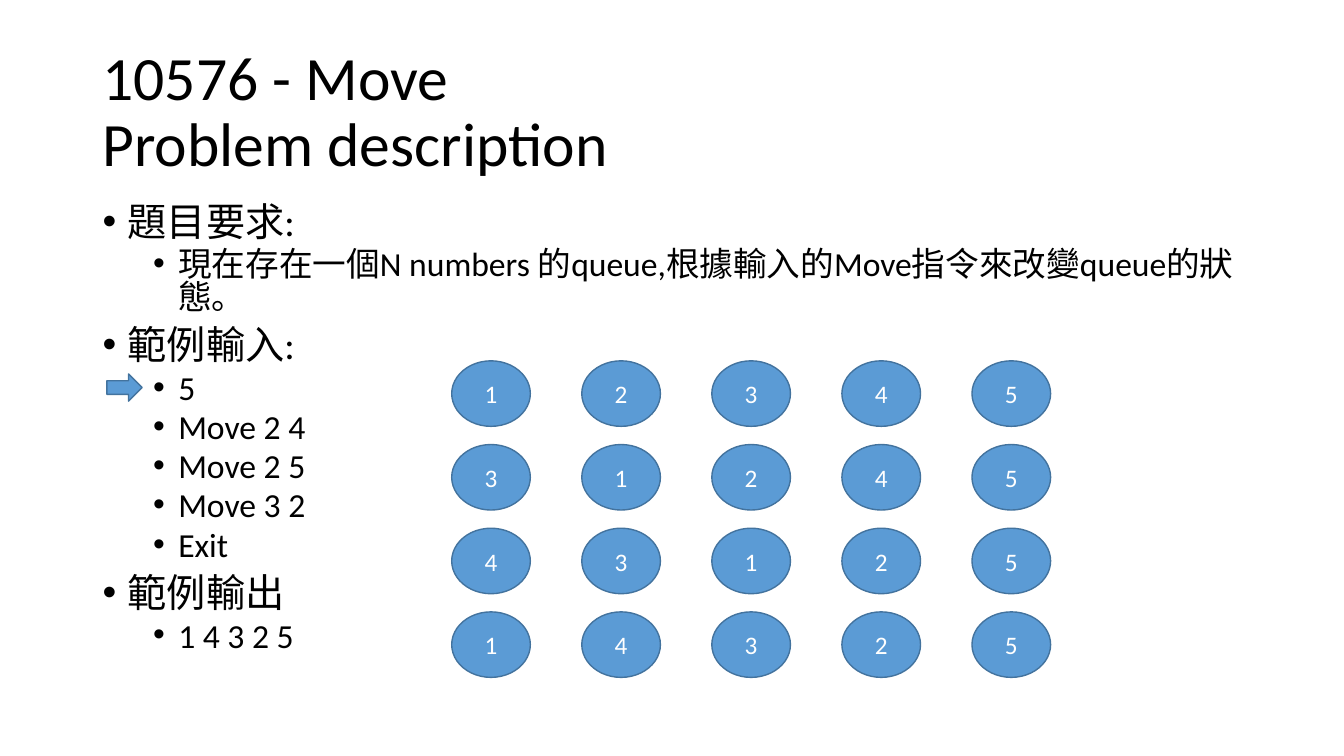
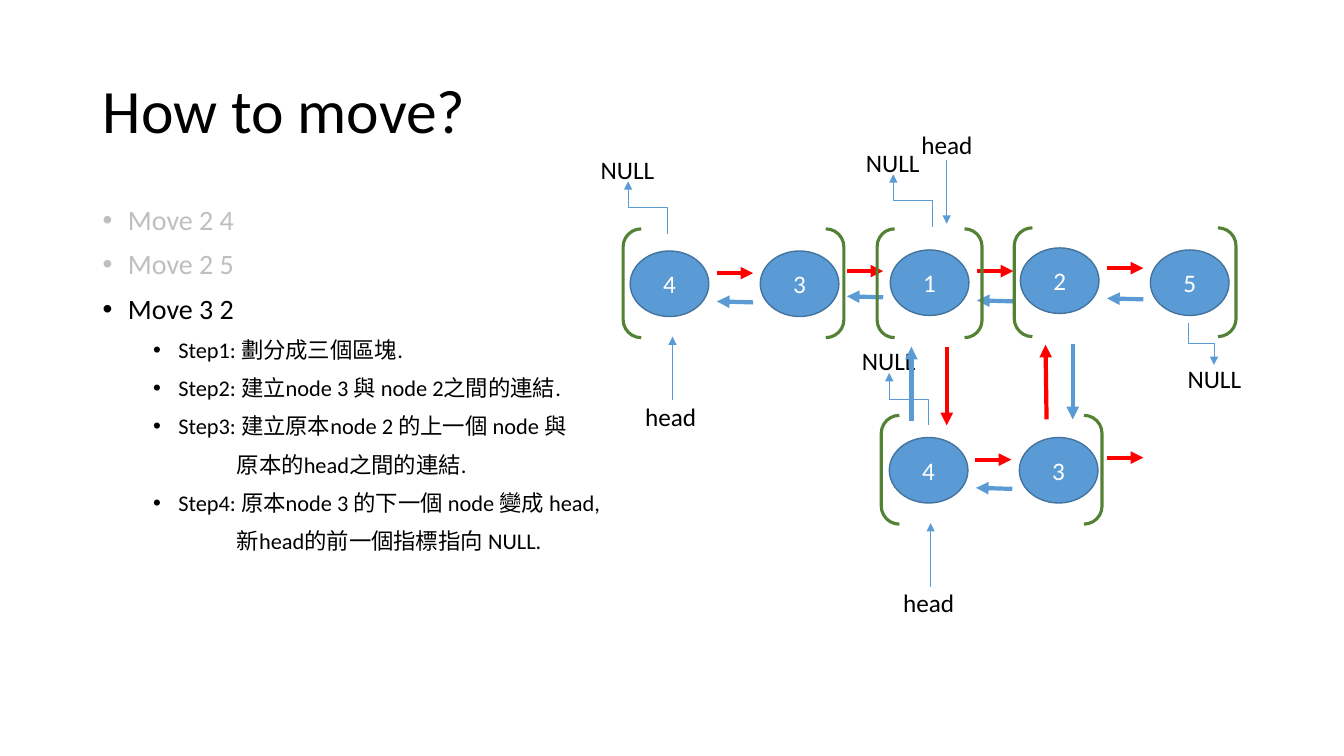
from lxml import etree
from pptx import Presentation
from pptx.dml.color import RGBColor
from pptx.enum.shapes import MSO_CONNECTOR, MSO_SHAPE
from pptx.enum.text import MSO_ANCHOR, MSO_AUTO_SIZE, PP_ALIGN
from pptx.oxml.ns import qn
from pptx.util import Inches, Pt

BLACK = RGBColor(0x00, 0x00, 0x00)
WHITE = RGBColor(0xFF, 0xFF, 0xFF)
GRAY = RGBColor(0xBF, 0xBF, 0xBF)
BLUE = RGBColor(0x5B, 0x9B, 0xD5)
DARK_BLUE = RGBColor(0x43, 0x73, 0x9E)
RED = RGBColor(0xFF, 0x00, 0x00)
GREEN = RGBColor(0x54, 0x82, 0x35)
FONT = "Calibri"
NODE_WIDTH, NODE_HEIGHT, NODE_PITCH = 0.78, 0.65, 1.29
ARROW_LENGTH = 0.36


class SlideBuilder:
    """Holds the shared style and the slide being drawn."""

    def __init__(self):
        self.deck = Presentation()
        self.deck.slide_width = Inches(13.33)
        self.deck.slide_height = Inches(7.5)
        self.page = None

    def new_page(self, title):
        self.page = self.deck.slides.add_slide(self.deck.slide_layouts[6])
        frame = self.text_box(0.92, 0.4, 11.5, 1.45)
        frame.vertical_anchor = MSO_ANCHOR.MIDDLE
        frame.text = title
        frame.paragraphs[0].line_spacing = 0.9
        self.format_runs(frame.paragraphs[0], 44)

    def text_box(self, left, top, width, height):
        box = self.page.shapes.add_textbox(
            Inches(left), Inches(top), Inches(width), Inches(height))
        box.text_frame.word_wrap = True
        return box.text_frame

    def format_runs(self, para, size, color=BLACK):
        for span in para.runs:
            span.font.name = FONT
            span.font.size = Pt(size)
            span.font.color.rgb = color

    def body(self, items, sizes, spacing, gaps):
        """Items are (level, text, color); level 2 continues a level 1 line."""
        frame = self.text_box(0.92, 2, 11.5, 4.76)
        for index, (level, text, color) in enumerate(items):
            para = frame.add_paragraph() if index else frame.paragraphs[0]
            para.text = text
            para.level = min(level, 1)
            para.line_spacing = spacing
            para.space_before = Pt(gaps[para.level])
            self.format_runs(para, sizes[para.level], color)
            self.indent(para, (0.25, 0.75, 1.33)[level], bulleted=level < 2)

    def indent(self, para, margin, bulleted):
        props = para._p.get_or_add_pPr()
        props.set("marL", str(Inches(margin)))
        props.set("indent", str(Inches(-0.25 if bulleted else 0)))
        if bulleted:
            etree.SubElement(props, qn("a:buFont")).set("typeface", "Arial")
            etree.SubElement(props, qn("a:buChar")).set("char", "•")

    def shape(self, kind, left, top, width, height, line, weight, fill=None):
        shape = self.page.shapes.add_shape(
            kind, Inches(left), Inches(top), Inches(width), Inches(height))
        shape.shadow.inherit = False
        if fill is None:
            shape.fill.background()
        else:
            shape.fill.solid()
            shape.fill.fore_color.rgb = fill
        shape.line.color.rgb = line
        shape.line.width = Pt(weight)
        return shape

    def node(self, left, top, value):
        oval = self.shape(MSO_SHAPE.OVAL, left, top, NODE_WIDTH, NODE_HEIGHT,
                          DARK_BLUE, 1, BLUE)
        frame = oval.text_frame
        frame.vertical_anchor = MSO_ANCHOR.MIDDLE
        frame.text = str(value)
        frame.paragraphs[0].alignment = PP_ALIGN.CENTER
        self.format_runs(frame.paragraphs[0], 18, WHITE)

    def brackets(self, left, top, width):
        self.shape(MSO_SHAPE.DOUBLE_BRACKET, left, top, width, 1.08, GREEN, 2.25)

    def label(self, left, top, text):
        frame = self.text_box(left, top, 0.74, 0.4)
        frame.word_wrap = False
        frame.auto_size = MSO_AUTO_SIZE.SHAPE_TO_FIT_TEXT
        frame.text = text
        self.format_runs(frame.paragraphs[0], 18)

    def arrow(self, x1, y1, x2, y2, color=BLUE, weight=3.0,
              kind=MSO_CONNECTOR.STRAIGHT):
        link = self.page.shapes.add_connector(
            kind, Inches(x1), Inches(y1), Inches(x2), Inches(y2))
        link.line.color.rgb = color
        link.line.width = Pt(weight)
        tail = etree.SubElement(link.line._get_or_add_ln(), qn("a:tailEnd"))
        tail.set("type", "triangle")
        etree.SubElement(link._element.spPr, qn("a:effectLst"))
        return link

    def elbow(self, x1, y1, x2, y2):
        """A bent arrow that leaves vertically: an elbow turned by 270 degrees."""
        middle_x, middle_y = (x1 + x2) / 2, (y1 + y2) / 2
        half_x, half_y = (x1 - x2) / 2, (y1 - y2) / 2
        link = self.arrow(middle_x - half_y, middle_y + half_x,
                          middle_x + half_y, middle_y - half_x,
                          weight=0.5, kind=MSO_CONNECTOR.ELBOW)
        link._element.spPr.find(qn("a:xfrm")).set("rot", str(270 * 60000))

    def null_above(self, x, y):
        self.elbow(x, y, x - 0.39, y - 0.52)
        self.label(x - 0.76, y - 0.84, "NULL")

    def head_below(self, x, y):
        self.arrow(x, y + 0.63, x, y, weight=0.5)
        self.label(x - 0.37, y + 0.59, "head")


show = SlideBuilder()

# Slide 1: problem statement and the queue after each command
show.new_page("10576 - Move\vProblem description")
statement = [
    (0, "題目要求:"),
    (1, "現在存在一個N numbers 的queue,根據輸入的Move指令來改變queue的狀態。".replace(",", ",")),
    (0, "範例輸入:"),
    (1, "5"),
    (1, "Move 2 4"),
    (1, "Move 2 5"),
    (1, "Move 3 2"),
    (1, "Exit"),
    (0, "範例輸出"),
    (1, "1 4 3 2 5"),
]
show.body([(level, text, BLACK) for level, text in statement],
          sizes=(28, 24), spacing=0.8, gaps=(10, 5))
for row, queue in enumerate(("12345", "31245", "43125", "14325")):
    for column, value in enumerate(queue):
        show.node(4.48 + NODE_PITCH * column, 3.58 + 0.83 * row, value)
show.shape(MSO_SHAPE.RIGHT_ARROW, 1.06, 3.71, 0.35, 0.27, DARK_BLUE, 1, BLUE)

# Slide 2: the steps of one move
show.new_page("How to move?")
show.body([
    (0, "Move 2 4", GRAY),
    (0, "Move 2 5", GRAY),
    (0, "Move 3 2", BLACK),
    (1, "Step1: 劃分成三個區塊.", BLACK),
    (1, "Step2: 建立node 3 與 node 2之間的連結.", BLACK),
    (1, "Step3: 建立原本node 2 的上一個 node 與", BLACK),
    (2, "原本的head之間的連結.", BLACK),
    (1, "Step4: 原本node 3 的下一個 node 變成 head,", BLACK),
    (2, "新head的前一個指標指向 NULL.", BLACK),
], sizes=(20, 16), spacing=0.9, gaps=(10, 10))

# Upper list: nodes, then next and previous links
for column, (value, top) in enumerate(
        zip("43125", (2.49, 2.49, 2.48, 2.46, 2.48))):
    show.node(6.25 + NODE_PITCH * column, top, value)
for column, (next_y, previous_y) in enumerate(
        ((2.71, 3.0), (2.69, 2.95), (2.69, 2.99), (2.66, 2.97))):
    left = 7.11 + NODE_PITCH * column
    right = left + ARROW_LENGTH
    show.arrow(left, next_y, right, next_y, RED)
    show.arrow(right, previous_y, left, previous_y - 0.01)
for left, top, width in ((6.18, 2.27, 2.19), (8.7, 2.27, 1.04), (10.06, 2.26, 2.2)):
    show.brackets(left, top, width)

# Lower list: the block that moved
for column, value in enumerate("43"):
    show.node(8.82 + NODE_PITCH * column, 4.34, value)
for left, y in ((9.67, 4.56), (10.98, 4.54)):
    show.arrow(left, y, left + ARROW_LENGTH, y, RED)
show.arrow(10.04, 4.85, 9.68, 4.84)
show.brackets(8.74, 4.12, 2.19)

# Ends of the lists
for x, y in ((6.62, 2.32), (9.25, 2.25), (9.21, 4.22)):
    show.null_above(x, y)
show.elbow(11.79, 3.2, 12.04, 3.62)
show.label(11.68, 3.56, "NULL")
for x, y in ((6.67, 3.34), (9.23, 5.19)):
    show.head_below(x, y)
show.arrow(9.39, 1.59, 9.39, 2.22, weight=0.5)
show.label(9.04, 1.23, "head")

# Links between the two lists
show.arrow(10.38, 4.16, 10.37, 3.42, RED)
show.arrow(10.64, 3.41, 10.64, 4.16)
show.arrow(9.39, 3.44, 9.39, 4.22, RED)
show.arrow(9.04, 4.18, 9.04, 3.44)

show.deck.save("out.pptx")
